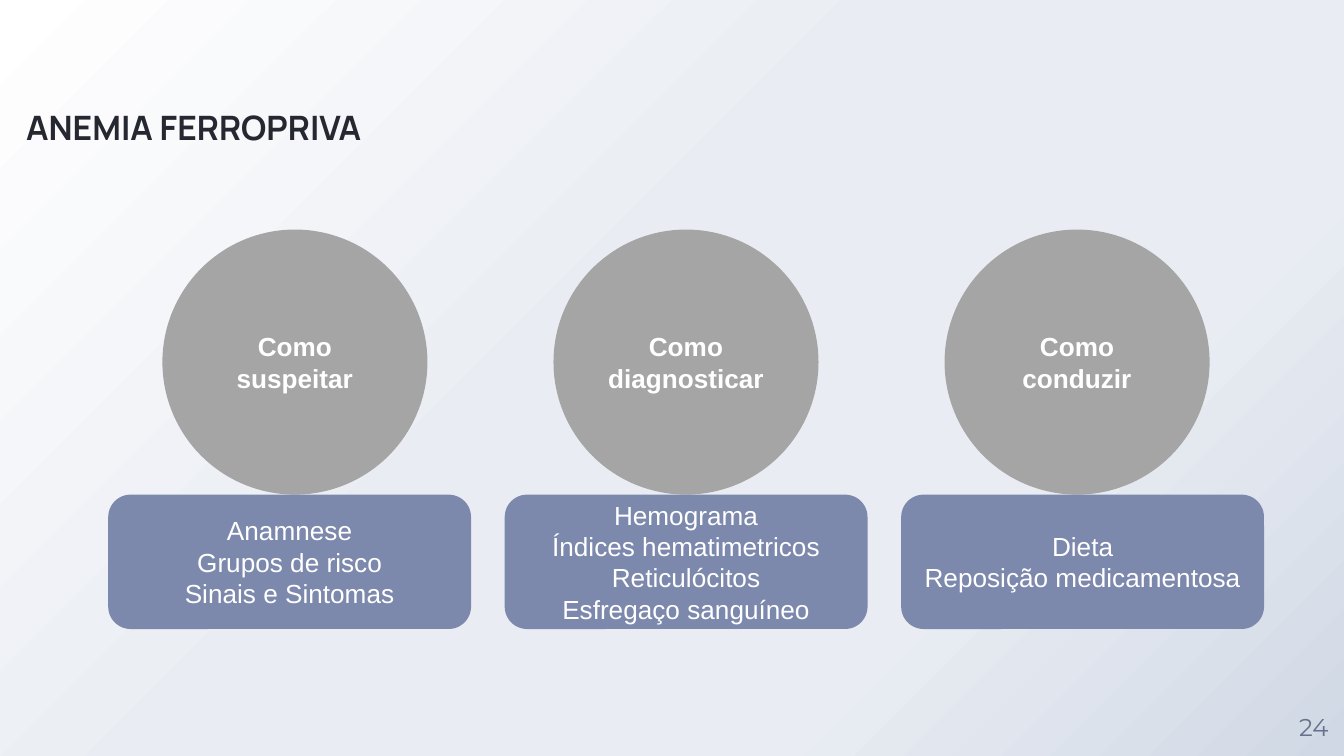
from copy import deepcopy

from pptx import Presentation
from pptx.dml.color import RGBColor
from pptx.enum.shapes import MSO_SHAPE
from pptx.enum.text import MSO_ANCHOR, PP_ALIGN
from pptx.oxml.ns import qn
from pptx.util import Pt

OVAL, ROUNDED = MSO_SHAPE.OVAL, MSO_SHAPE.ROUNDED_RECTANGLE
MIDDLE, BOTTOM = MSO_ANCHOR.MIDDLE, MSO_ANCHOR.BOTTOM
LEFT, CENTER = PP_ALIGN.LEFT, PP_ALIGN.CENTER


def rgb(value):
    return RGBColor.from_string(value)


def write(sp, lines, font, size, color, bold=False, align=CENTER, anchor=MIDDLE, inset=(0, 0)):
    """Fill a shape with one paragraph per line; inset is (sides, top and bottom)."""
    tf = sp.text_frame
    tf.word_wrap = True
    tf.vertical_anchor = anchor
    tf.margin_left = tf.margin_right = Pt(inset[0])
    tf.margin_top = tf.margin_bottom = Pt(inset[1])
    for i, line in enumerate(lines):
        p = tf.paragraphs[0] if i == 0 else tf.add_paragraph()
        p.alignment = align
        r = p.add_run()
        r.text = line
        r.font.name = font
        r.font.size = Pt(size)
        r.font.bold = bold
        r.font.color.rgb = rgb(color)


prs = Presentation()
prs.slide_width, prs.slide_height = Pt(720), Pt(405)
s = prs.slides.add_slide(prs.slide_layouts[6])

# Diagonal background gradient with four stops
fill = s.background.fill
fill.gradient()
fill.gradient_angle = 315
stop_list = next(s.element.iter(qn("a:gsLst")))
for stop in list(stop_list):
    stop_list.append(deepcopy(stop))
stops = [(0, "FFFFFF"), (0.44, "E9EDF3"), (0.72, "E9EDF3"), (1, "D0D8E5")]
for stop, (position, color) in zip(fill.gradient_stops, stops):
    stop.position = position
    stop.color.rgb = rgb(color)

# Title and slide number
title = s.shapes.add_textbox(Pt(14), Pt(11.5), Pt(282), Pt(67.5))
write(title, ["ANEMIA FERROPRIVA"], "Manrope", 18, "252831", True, LEFT, BOTTOM)
number = s.shapes.add_textbox(Pt(687.5), Pt(373), Pt(32.5), Pt(32.5))
write(number, ["24"], "Montserrat", 13, "68728D")

# Three steps: a circle standing on a box of details
steps = [
    ("Como suspeitar", ["Anamnese", "Grupos de risco", "Sinais e Sintomas"]),
    ("Como diagnosticar", ["Hemograma", "Índices hematimetricos", "Reticulócitos",
                           "Esfregaço sanguíneo"]),
    ("Como conduzir", ["Dieta", "Reposição medicamentosa"]),
]
for i, (question, details) in enumerate(steps):
    parts = [
        (OVAL, 87 + 209.5 * i, 123, 194.4 - 52.4, 142, "A5A5A5", [question], True),
        (ROUNDED, 58 + 212.4 * i, 265, 194.4, 72, "7D89AC", details, False),
    ]
    for kind, left, top, width, height, color, lines, bold in parts:
        sp = s.shapes.add_shape(kind, Pt(left), Pt(top), Pt(width), Pt(height))
        sp.shadow.inherit = False
        sp.fill.solid()
        sp.fill.fore_color.rgb = rgb(color)
        sp.line.fill.background()
        write(sp, lines, "Arial", 14, "FFFFFF", bold, inset=(7.2, 3.6))

prs.save("out.pptx")
